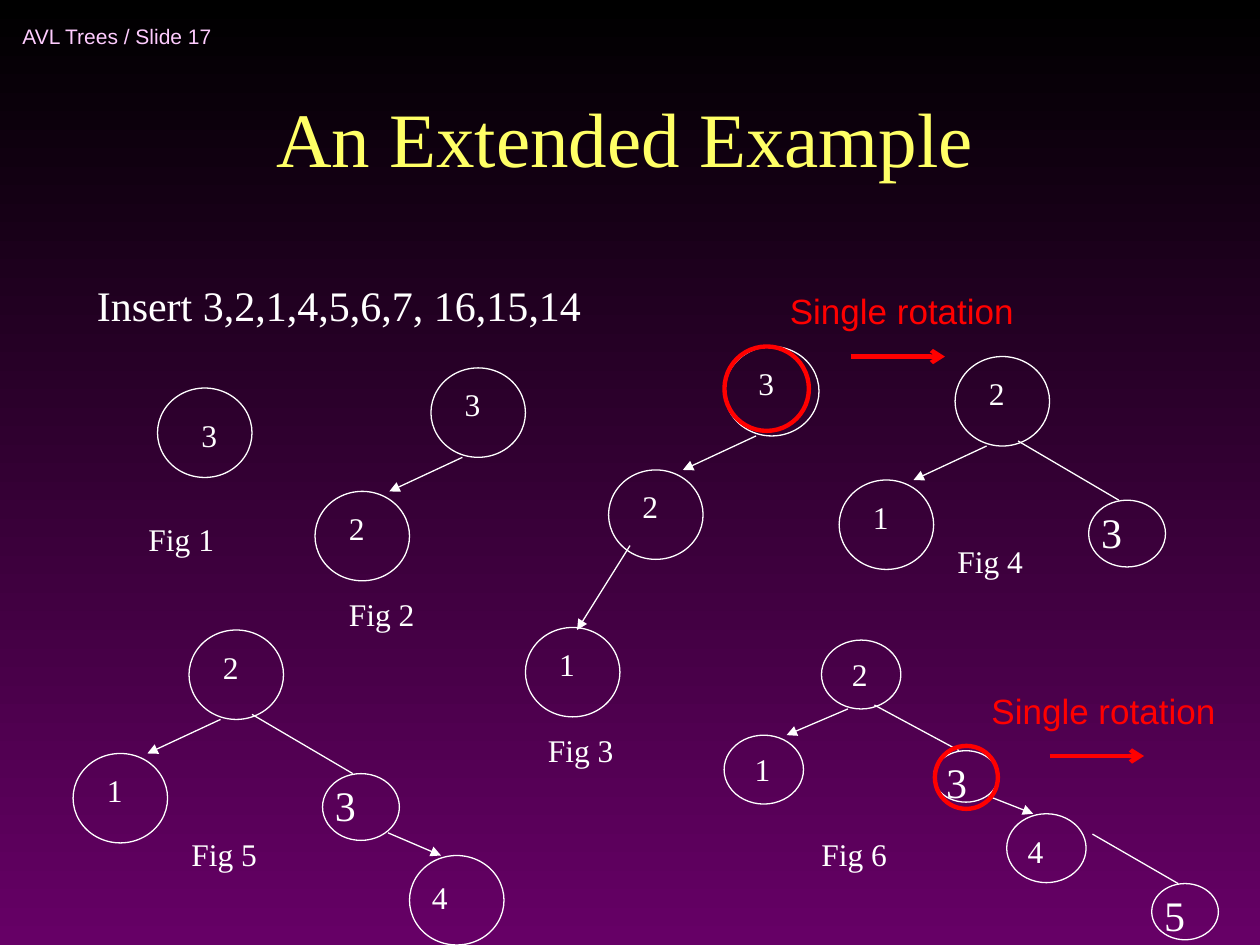
from dataclasses import dataclass

from lxml import etree
from pptx import Presentation
from pptx import util as u
from pptx.dml.color import RGBColor
from pptx.enum import shapes, text
from pptx.oxml.ns import qn


@dataclass(frozen=True)
class Theme:
    top: str = "000000"
    bottom: str = "660066"
    header: str = "FFCCFF"
    title: str = "FFFF66"
    ink: str = "FFFFFF"
    accent: str = "FF0000"
    serif: str = "Times New Roman"
    sans: str = "Arial"
    header_pt: float = 12
    title_pt: float = 44
    body_pt: float = 24
    label_pt: float = 18
    note_pt: float = 20
    thin: float = 0.75
    thick: float = 2.5


class TreeSlide:
    """Holds the theme and the current slide; one method per kind of element."""

    def __init__(self, deck, theme):
        self.theme = theme
        self.slide = deck.slides.add_slide(deck.slide_layouts[5])
        fill = self.slide.background.fill
        fill.gradient()
        fill.gradient_angle = 270
        for stop, position, color in zip(fill.gradient_stops, (0, 1), (theme.top, theme.bottom)):
            stop.position = position
            stop.color.rgb = RGBColor.from_string(color)

    def style(self, frame, words, size, color, font):
        frame.text = words
        paragraph = frame.paragraphs[0]
        paragraph.font.size = u.Pt(size)
        paragraph.font.name = font
        paragraph.font.color.rgb = RGBColor.from_string(color)
        return paragraph

    def title(self, words, box):
        heading = self.slide.shapes.title
        heading.left, heading.top, heading.width, heading.height = map(u.Inches, box)
        heading.text_frame.vertical_anchor = text.MSO_ANCHOR.BOTTOM
        line = self.style(heading.text_frame, words, self.theme.title_pt,
                          self.theme.title, self.theme.serif)
        line.alignment = text.PP_ALIGN.CENTER

    def words(self, words, box, size, color=None, font=None, parent=None, wrap=True):
        parent = parent or self.slide
        frame = parent.shapes.add_textbox(*map(u.Inches, box)).text_frame
        frame.word_wrap = wrap
        self.style(frame, words, size, color or self.theme.ink, font or self.theme.serif)
        return frame

    def outline(self, shape, color, width):
        shape.line.color.rgb = RGBColor.from_string(color)
        shape.line.width = u.Pt(width)

    def ring(self, box, color=None, width=None, parent=None):
        parent = parent or self.slide
        circle = parent.shapes.add_shape(shapes.MSO_SHAPE.OVAL, *map(u.Inches, box))
        circle.shadow.inherit = False
        circle.fill.background()
        self.outline(circle, color or self.theme.ink, width or self.theme.thin)

    def link(self, ends, head=None, color=None, width=None, parent=None):
        parent = parent or self.slide
        edge = parent.shapes.add_connector(shapes.MSO_CONNECTOR.STRAIGHT, *map(u.Inches, ends))
        self.outline(edge, color or self.theme.ink, width or self.theme.thin)
        if head:
            etree.SubElement(edge.line._get_or_add_ln(), qn("a:tailEnd"), type=head)
        etree.SubElement(edge._element.spPr, qn("a:effectLst"))

    def tree(self, caption, caption_box, root, parts, scale=(1, 1)):
        """Draw one grouped figure from parts measured from the root's corner."""
        group = self.slide.shapes.add_group_shape()

        def size(w, h):
            return w * scale[0], h * scale[1]

        def place(x, y):
            dx, dy = size(x, y)
            return root[0] + dx, root[1] + dy

        for node, edge in parts:
            if edge:
                x1, y1, x2, y2, head = edge
                self.link((*place(x1, y1), *place(x2, y2)), head, parent=group)
            key, x, y, (w, h), (dx, dy, label_w), points = node
            self.ring((*place(x, y), *size(w, h)), parent=group)
            label_h = 0.4 if points == self.theme.label_pt else 0.5
            self.words(key, (*place(x + dx, y + dy), label_w * scale[0], label_h),
                       points, parent=group)
        self.words(caption, caption_box, self.theme.label_pt, parent=group)


THEME = Theme()
LARGE, SMALL, TINY = (0.75, 0.71), (0.61, 0.53), (0.63, 0.58)
ARROW = "triangle"


# Tree parts: a node, and the edge that leads to it
def root_node(key, label=(0.17, 0.09, 1.33)):
    return (key, 0, 0, LARGE, label, THEME.label_pt), None


def left_child(key):
    return ((key, -0.92, 0.98, LARGE, (0.17, 0.09, 0.83), THEME.label_pt),
            (0.25, 0.71, -0.33, 0.98, ARROW))


def plain_node(key, x, y, size):
    return key, x, y, size, (0, 0, size[0]), THEME.body_pt


RIGHT_3 = plain_node("3", 1.06, 1.14, SMALL), (0.5, 0.67, 1.3, 1.14, None)
LEFT_LEFT_1 = (("1", -1.58, 2.23, LARGE, (0.17, 0.09, 1.33), THEME.label_pt),
               (-0.75, 1.58, -1.17, 2.25, ARROW))
RIGHT_4 = (("4", 1.75, 1.79, LARGE, (0.08, 0.13, 1), THEME.label_pt),
           (1.58, 1.61, 2, 1.79, ARROW))
RIGHT_5 = plain_node("5", 3.12, 2.51, TINY), (2.56, 2, 3.37, 2.51, None)
BALANCED = [root_node("2"), left_child("1"), RIGHT_3]

# Caption left, top, width; root corner; parts; scale
FIGURES = [
    ((1.08, 4.08, 1), (1.25, 3.08), [root_node("3", (0.25, 0.17, 1.33))], (1, 1)),
    ((2.67, 4.67, 1.25), (3.42, 2.92), [root_node("3"), left_child("2")], (1, 1)),
    ((4.25, 5.75, 1.25), (5.75, 2.75), [root_node("3"), left_child("2"), LEFT_LEFT_1], (1, 1)),
    ((7.5, 4.25, 1.25), (7.58, 2.83), BALANCED, (1, 1)),
    ((1.42, 6.58, 1.25), (1.5, 5), BALANCED + [RIGHT_4], (1, 1)),
    ((6.42, 6.58, 1.25), (6.52, 5.08), BALANCED + [RIGHT_4, RIGHT_5], (0.84, 0.77)),
]

# Each rotation: arrow start, note corner, ring around the unbalanced node
ROTATIONS = [
    ((6.75, 2.83), (6.17, 2.25), (5.75, 2.75, 0.67, 0.67)),
    ((8.33, 6), (7.77, 5.42), (7.42, 5.92, 0.5, 0.5)),
]


def main():
    deck = Presentation()
    deck.slide_width, deck.slide_height = u.Inches(10), u.Inches(7.5)
    page = TreeSlide(deck, THEME)

    # Header, title and task
    header = page.words("AVL Trees / Slide 17", (0.08, 0.08, 2.75, 0.42), THEME.header_pt,
                        THEME.header, THEME.sans, wrap=False)
    header.vertical_anchor = text.MSO_ANCHOR.MIDDLE
    page.title("An Extended Example", (0.67, 0.25, 8.58, 1.25))
    page.words("Insert 3,2,1,4,5,6,7, 16,15,14", (0.67, 2.17, 7.08, 0.5), THEME.body_pt)

    # Insertion steps
    for number, (caption, root, parts, scale) in enumerate(FIGURES, 1):
        page.tree(f"Fig {number}", (*caption, 0.4), root, parts, scale)

    # Rotations
    for (x, y), note, ring in ROTATIONS:
        page.link((x, y, x + 0.75, y), "arrow", THEME.accent, THEME.thick)
        page.words("Single rotation", (*note, 1.98, 0.44), THEME.note_pt,
                   THEME.accent, THEME.sans, wrap=False)
        page.ring(ring, THEME.accent, THEME.thick)

    deck.save("out.pptx")


if __name__ == "__main__":
    main()
